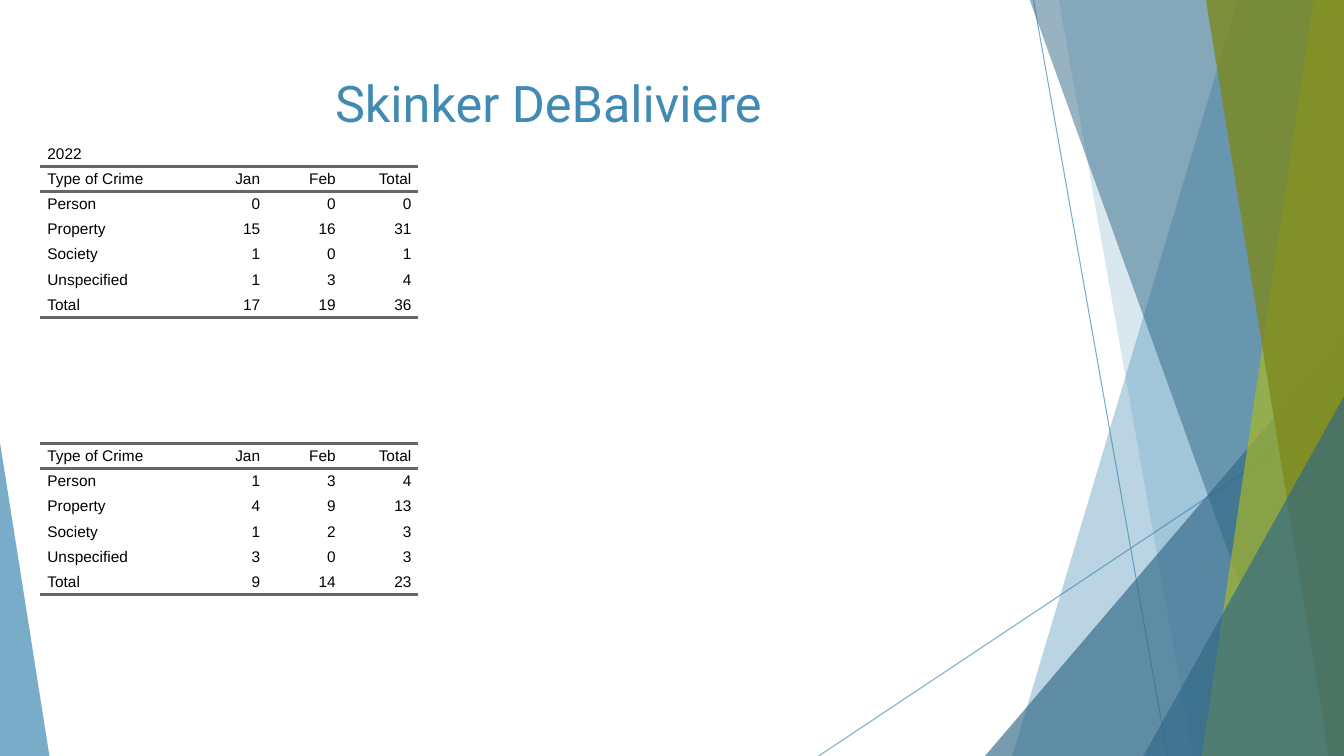
import pptx
import pptx.util
import pptx.dml.color
import pptx.enum.shapes
import pptx.enum.text
import pptx.oxml.ns
from lxml import etree

Inches, Pt = pptx.util.Inches, pptx.util.Pt
KINDS = pptx.enum.shapes.MSO_SHAPE
ALIGN = pptx.enum.text.PP_ALIGN
ANCHOR = pptx.enum.text.MSO_ANCHOR
qn = pptx.oxml.ns.qn

WIDE, HIGH, TOP = 13.33, 7.5, -0.01
COLORS = {"blue": "418AB3", "navy": "316886", "lime": "A6B727",
          "olive": "7D891D", "rule": "666666", "ink": "000000"}

TITLE = "Skinker DeBaliviere"
HEAD = ("Type of Crime", "Jan", "Feb", "Total")
CRIMES = [
    # top, year, rows
    (1.4, "2022", [("Person", 0, 0, 0), ("Property", 15, 16, 31),
                   ("Society", 1, 0, 1), ("Unspecified", 1, 3, 4),
                   ("Total", 17, 19, 36)]),
    (4.4, None, [("Person", 1, 3, 4), ("Property", 4, 9, 13),
                 ("Society", 1, 2, 3), ("Unspecified", 3, 0, 3),
                 ("Total", 9, 14, 23)]),
]
COLS, ROW, PAD = (1.5, 0.75, 0.75, 0.75), 0.25, 0.07

LINES = [(10.25, 0, 11.58, HIGH), (WIDE, 4.03, 8.12, HIGH)]
# band: top left, bottom left, bottom right; wedge: left, top, width, apex
DECOR = [
    ("band", (12.28, 10.04, WIDE), "blue", 36),
    ("band", (10.5, 11.83, WIDE), "blue", 20),
    ("wedge", (9.77, 3.33, 3.56, 1), "navy", 66),
    ("band", (10.21, 12.91, WIDE), "navy", 50),
    ("band", (13.03, 11.92, WIDE), "lime", 70),
    ("band", (11.96, 13.18, WIDE), "olive", 80),
    ("wedge", (11.34, 3.93, 1.99, 1), "navy", 66),
    ("wedge", (0, 4.39, 0.49, 0), "blue", 70),
]


def rgb(name):
    return pptx.dml.color.RGBColor.from_string(COLORS[name])


def fade(part, alpha):
    """Set the opacity, in percent, of the solid colour in a fill or line."""
    tint = next(part.iter(qn("a:srgbClr")))
    etree.SubElement(tint, qn("a:alpha")).set("val", str(alpha * 1000))


def add_line(shapes, ends):
    line = shapes.add_connector(pptx.enum.shapes.MSO_CONNECTOR.STRAIGHT,
                                *[Inches(v) for v in ends])
    line.line.color.rgb = rgb("blue")
    line.line.width = Pt(0.75)
    props = line._element.spPr
    fade(props, 70)
    etree.SubElement(props, qn("a:effectLst"))


def add_band(shapes, spots):
    start, left, right = spots
    points = [(WIDE, TOP), (WIDE, HIGH), (right, HIGH), (left, HIGH)]
    if left > start:
        points = [(WIDE, TOP), (WIDE, HIGH), (left, HIGH)]
    form = shapes.build_freeform(Inches(start), Inches(TOP))
    form.add_line_segments([(Inches(x), Inches(y)) for x, y in points])
    return form.convert_to_shape()


def add_wedge(shapes, spots):
    left, top, width, apex = spots
    wedge = shapes.add_shape(KINDS.ISOSCELES_TRIANGLE, Inches(left), Inches(top),
                             Inches(width), Inches(HIGH - top))
    wedge.adjustments[0] = apex
    return wedge


def add_decor(shapes):
    for ends in LINES:
        add_line(shapes, ends)
    make = {"band": add_band, "wedge": add_wedge}
    for kind, spots, color, alpha in DECOR:
        shape = make[kind](shapes, spots)
        shape.shadow.inherit = False
        shape.fill.solid()
        shape.fill.fore_color.rgb = rgb(color)
        fade(shape._element.spPr, alpha)
        shape.line.fill.background()


def add_rule(cell, side):
    """Draw the top (T) or bottom (B) border of a cell."""
    props = cell._tc.get_or_add_tcPr()
    rule = etree.SubElement(props, qn("a:ln" + side), w=str(Pt(2)))
    fill = etree.SubElement(rule, qn("a:solidFill"))
    etree.SubElement(fill, qn("a:srgbClr"), val=COLORS["rule"])


def fill_cell(cell, text, align, sides):
    for side in sides:
        add_rule(cell, side)
    cell.fill.background()
    cell.margin_left = cell.margin_right = Inches(PAD)
    cell.margin_top = cell.margin_bottom = 0
    cell.vertical_anchor = ANCHOR.MIDDLE
    para = cell.text_frame.paragraphs[0]
    para.text = str(text)
    para.alignment = align
    para.font.size = Pt(11)
    para.font.name = "Arial"
    para.font.color.rgb = rgb("ink")


def add_crimes(shapes, top, year, counts):
    rows = [HEAD] + counts
    if year:
        rows = [(year, "", "", "")] + rows
    frame = shapes.add_table(len(rows), len(COLS), Inches(0.4), Inches(top),
                             Inches(sum(COLS)), Inches(ROW * len(rows)))
    table = frame.table
    table.first_row = table.horz_banding = False
    style = next(table._tbl.iter(qn("a:tableStyleId")))
    style.text = "{2D5ABB26-0587-4C30-8999-92F81FD0307C}"
    for col, width in zip(table.columns, COLS):
        col.width = Inches(width)
    for r, row in enumerate(rows):
        table.rows[r].height = Inches(ROW)
        sides = "TB" if row is HEAD else "B" if row is rows[-1] else ""
        for c, text in enumerate(row):
            align = ALIGN.RIGHT if c else ALIGN.LEFT
            fill_cell(table.cell(r, c), text, align, sides)
    if year:
        table.cell(0, 0).merge(table.cell(0, len(COLS) - 1))


def add_title(shapes):
    box = shapes.add_textbox(Inches(0.74), Inches(0.67), Inches(9.4), Inches(1.44))
    box.text_frame.word_wrap = True
    box.text_frame.vertical_anchor = ANCHOR.TOP
    para = box.text_frame.paragraphs[0]
    para.text = TITLE
    para.alignment = ALIGN.CENTER
    para.font.size = Pt(36)
    para.font.name = "Roboto"
    para.font.color.rgb = rgb("blue")


def main():
    deck = pptx.Presentation()
    deck.slide_width, deck.slide_height = Inches(WIDE), Inches(HIGH)
    shapes = deck.slides.add_slide(deck.slide_layouts[6]).shapes
    add_decor(shapes)
    for top, year, counts in CRIMES:
        add_crimes(shapes, top, year, counts)
    add_title(shapes)
    deck.save("out.pptx")


if __name__ == "__main__":
    main()
